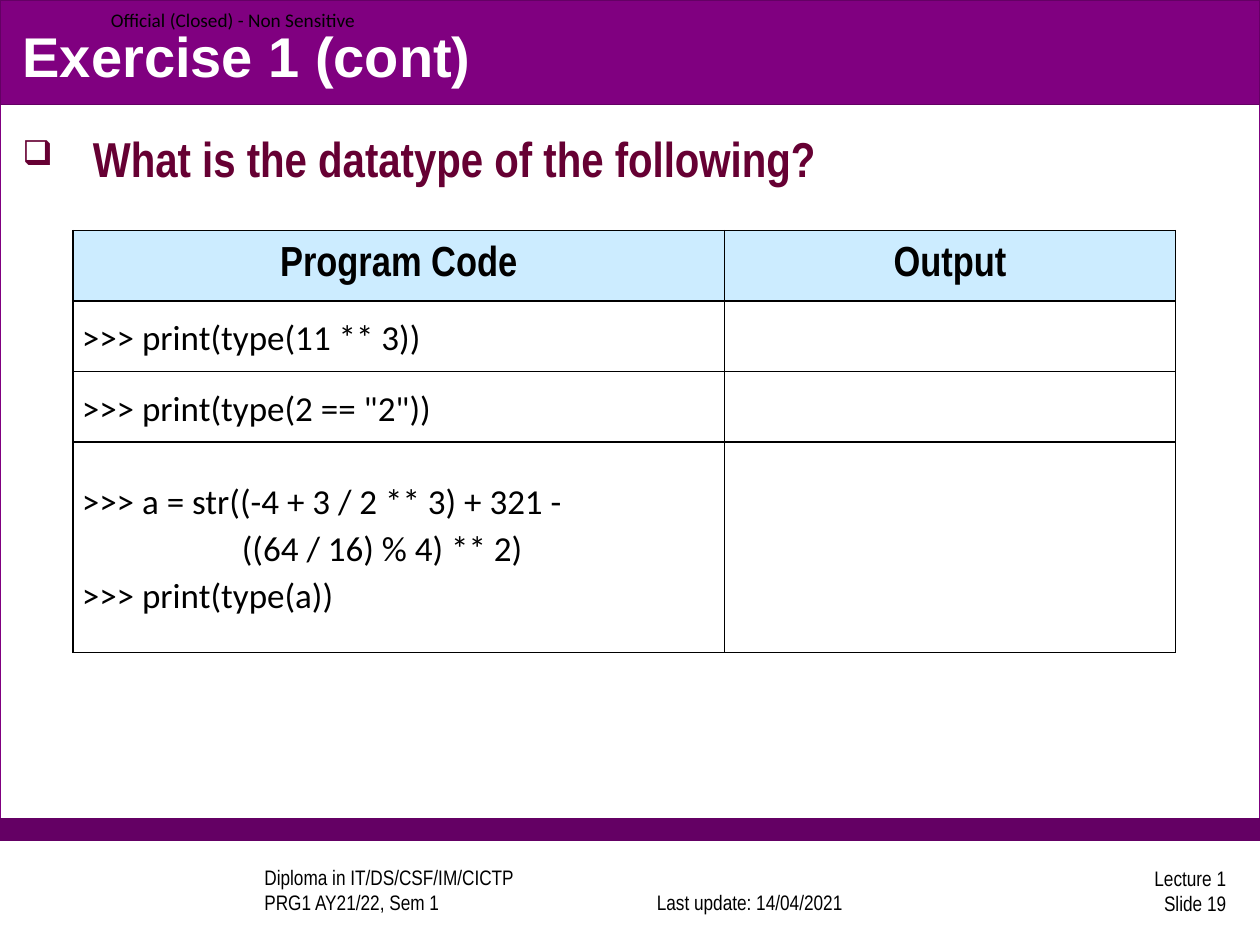
from dataclasses import dataclass

from lxml.etree import SubElement
from pptx import Presentation
from pptx.dml.color import RGBColor
from pptx.enum.shapes import MSO_SHAPE
from pptx.enum.text import MSO_ANCHOR, MSO_AUTO_SIZE, PP_ALIGN
from pptx.oxml.ns import qn
from pptx.util import Inches, Pt

BLACK = RGBColor(0, 0, 0)
WHITE = RGBColor(255, 255, 255)
PURPLE = RGBColor(0x80, 0x00, 0x80)
DARK_PURPLE = RGBColor(0x64, 0x00, 0x64)
MAROON = RGBColor(0x66, 0x00, 0x33)
PALE_BLUE = RGBColor(0xCC, 0xEC, 0xFF)


@dataclass
class Band:
    top: float
    height: float
    fill: RGBColor
    line: RGBColor


@dataclass
class TextStyle:
    font: str
    size: float
    color: RGBColor = BLACK
    bold: bool = False


@dataclass
class Label:
    text: str
    box: tuple[float, float, float, float]
    style: TextStyle
    align: PP_ALIGN = PP_ALIGN.LEFT
    anchor: MSO_ANCHOR = MSO_ANCHOR.BOTTOM
    margin: float | None = None


TITLE = TextStyle("Arial", 32, WHITE, True)
QUESTION = TextStyle("Arial Narrow", 28, MAROON, True)
HEADER = TextStyle("Arial Narrow", 24, BLACK, True)
CODE = TextStyle("Calibri", 20)
FOOTER = TextStyle("Arial Narrow", 12)

BANDS = [
    Band(0, 6.67, WHITE, PURPLE),
    Band(6.5, 0.17, DARK_PURPLE, DARK_PURPLE),
    Band(0, 0.83, PURPLE, DARK_PURPLE),
]
LABELS = [
    Label("Diploma in IT/DS/CSF/IM/CICTP\vPRG1 AY21/22, Sem 1",
          (2, 6.89, 2.67, 0.42), FOOTER),
    Label("Last update: 14/04/2021", (4.91, 6.89, 2.08, 0.42), FOOTER,
          PP_ALIGN.CENTER),
    Label("Lecture 1\vSlide 19", (7.75, 6.86, 2.08, 0.42), FOOTER,
          PP_ALIGN.RIGHT, MSO_ANCHOR.MIDDLE),
    Label("Official (Closed) - Non Sensitive", (0.88, 0, 2.13, 0.31),
          TextStyle("Calibri", 11), anchor=MSO_ANCHOR.MIDDLE, margin=0),
]

COLUMN_WIDTHS = [5.17, 3.58]
ROW_HEIGHTS = [0.56, 0.56, 0.56, 1.67]
HEADINGS = ["Program Code", "Output"]
SNIPPETS = [
    ">>> print(type(11 ** 3))",
    '>>> print(type(2 == "2"))',
    ">>> a = str((-4 + 3 / 2 ** 3) + 321 -\n((64 / 16) % 4) ** 2)\n>>> print(type(a))",
]
CONTINUATION_INDENT = 1.27


def format_text(text_frame, style: TextStyle, align: PP_ALIGN = PP_ALIGN.LEFT) -> None:
    for paragraph in text_frame.paragraphs:
        paragraph.alignment = align
        for run in paragraph.runs:
            run.font.name = style.font
            run.font.size = Pt(style.size)
            run.font.bold = style.bold
            run.font.color.rgb = style.color


def add_band(slide, band: Band) -> None:
    shape = slide.shapes.add_shape(MSO_SHAPE.RECTANGLE, 0, Inches(band.top),
                                   Inches(10), Inches(band.height))
    shape.shadow.inherit = False
    shape.fill.solid()
    shape.fill.fore_color.rgb = band.fill
    shape.line.color.rgb = band.line
    shape.line.width = Pt(0.75)


def add_label(slide, label: Label):
    text_frame = slide.shapes.add_textbox(*map(Inches, label.box)).text_frame
    text_frame.word_wrap = True
    text_frame.vertical_anchor = label.anchor
    if label.margin is not None:
        text_frame.margin_left = text_frame.margin_right = Inches(label.margin)
        text_frame.margin_top = text_frame.margin_bottom = Inches(label.margin)
    text_frame.text = label.text
    format_text(text_frame, label.style, label.align)
    return text_frame


def set_indent(paragraph, left: float, first: float = 0):
    properties = paragraph._p.get_or_add_pPr()
    properties.set("marL", str(Inches(left)))
    properties.set("indent", str(Inches(first)))
    return properties


def add_title(slide, text: str) -> None:
    title = slide.shapes.title
    title.left, title.top, title.width, title.height = map(
        Inches, (0.08, 0.13, 9.83, 0.62))
    text_frame = title.text_frame
    text_frame.text = text
    text_frame.auto_size = MSO_AUTO_SIZE.NONE
    text_frame.vertical_anchor = MSO_ANCHOR.MIDDLE
    format_text(text_frame, TITLE)
    # Bring the title in front of its band
    slide.shapes._spTree.append(title._element)


def add_question(slide, text: str) -> None:
    text_frame = add_label(slide, Label(text, (0.08, 0.97, 9.83, 0.62), QUESTION,
                                        anchor=MSO_ANCHOR.TOP))
    paragraph = text_frame.paragraphs[0]
    paragraph.space_before = Pt(5.6)
    properties = set_indent(paragraph, 0.56, -0.56)
    SubElement(properties, qn("a:buSzPct"), val="70000")
    SubElement(properties, qn("a:buChar"), char="❑")


def style_cell(cell, fill: RGBColor) -> None:
    cell.vertical_anchor = MSO_ANCHOR.MIDDLE
    cell.margin_left = cell.margin_right = Inches(0.07)
    cell.margin_top = cell.margin_bottom = 0
    properties = cell._tc.get_or_add_tcPr()
    for side in ("a:lnL", "a:lnR", "a:lnT", "a:lnB"):
        border = SubElement(properties, qn(side), w=str(Pt(1)))
        border_fill = SubElement(border, qn("a:solidFill"))
        SubElement(border_fill, qn("a:srgbClr"), val=str(BLACK))
    cell.fill.solid()
    cell.fill.fore_color.rgb = fill


def add_code_table(slide) -> None:
    table = slide.shapes.add_table(
        len(ROW_HEIGHTS), len(COLUMN_WIDTHS), Inches(0.58), Inches(1.83),
        Inches(sum(COLUMN_WIDTHS)), Inches(sum(ROW_HEIGHTS))).table
    table.first_row = table.horz_banding = False
    for column, width in zip(table.columns, COLUMN_WIDTHS):
        column.width = Inches(width)
    for index, (row, height) in enumerate(zip(table.rows, ROW_HEIGHTS)):
        row.height = Inches(height)
        for cell in row.cells:
            style_cell(cell, WHITE if index else PALE_BLUE)

    # Heading row
    for column, heading in enumerate(HEADINGS):
        text_frame = table.cell(0, column).text_frame
        text_frame.text = heading
        format_text(text_frame, HEADER, PP_ALIGN.CENTER)
        text_frame.paragraphs[0].space_before = Pt(3)
        text_frame.paragraphs[0].space_after = Pt(3)

    # Code rows, with an empty output column
    for row, snippet in enumerate(SNIPPETS, start=1):
        text_frame = table.cell(row, 0).text_frame
        text_frame.text = snippet
        format_text(text_frame, CODE)
        for paragraph in text_frame.paragraphs:
            paragraph.line_spacing = 1.1
            if not paragraph.text.startswith(">>>"):
                set_indent(paragraph, CONTINUATION_INDENT)


def main() -> None:
    presentation = Presentation()
    presentation.slide_width = Inches(10)
    presentation.slide_height = Inches(7.5)
    slide = presentation.slides.add_slide(presentation.slide_layouts[5])

    # Frame, bands and footer
    for band in BANDS:
        add_band(slide, band)
    for label in LABELS:
        add_label(slide, label)

    # Content
    add_title(slide, "Exercise 1 (cont)")
    add_question(slide, "What is the datatype of the following?")
    add_code_table(slide)
    presentation.save("out.pptx")


if __name__ == "__main__":
    main()
